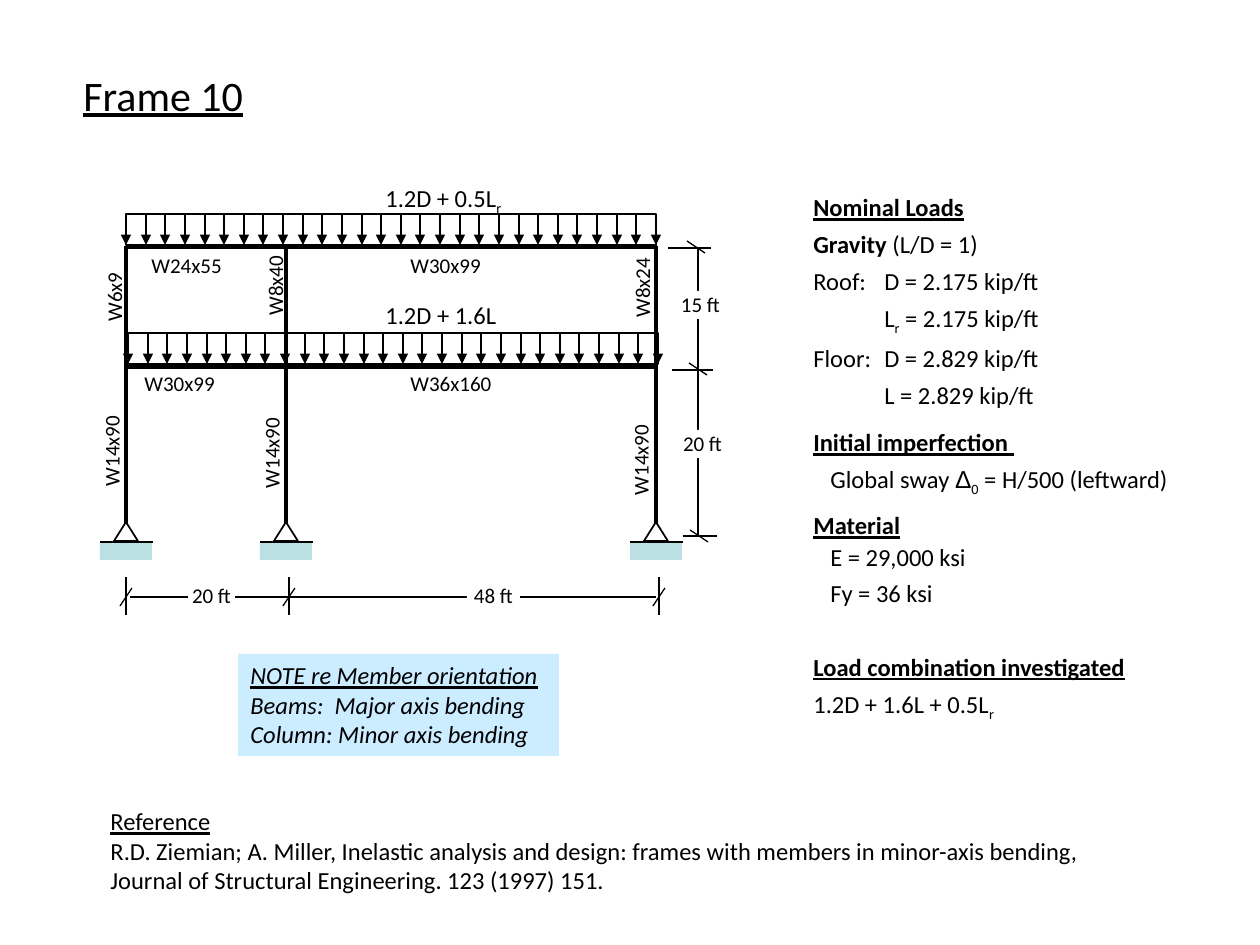
from dataclasses import dataclass, replace
from typing import Any, Optional

import lxml.etree
import pptx
import pptx.dml.color
import pptx.enum.shapes
import pptx.enum.text
import pptx.oxml.ns
import pptx.util

EMU_PER_PIXEL = 914400 // 126
SHAPE = pptx.enum.shapes.MSO_SHAPE
BLACK, WHITE, GROUND, NOTE_BLUE = "000000", "FFFFFF", "BBE0E3", "CCECFF"


@dataclass(frozen=True)
class Span:
    text: str
    bold: Optional[bool] = None
    font: Optional[str] = None
    subscript: bool = False


@dataclass(frozen=True)
class Para:
    spans: tuple[Span, ...]
    size: int = 14
    bold: bool = False
    italic: bool = False
    underline: bool = False
    spacing: Optional[float] = None
    before: float = 0
    after: float = 0
    indent: int = 0
    tab: int = 0
    centred: bool = False


@dataclass(frozen=True)
class Label:
    text: str
    left: int
    top: int
    width: int
    rotation: int = 0


@dataclass(frozen=True)
class Line:
    x1: int
    y1: int
    x2: int
    y2: int
    weight: float = 0.75
    arrow: bool = False


def px(value: float) -> int:
    """Turn pixels into EMU."""
    return round(value * EMU_PER_PIXEL)


def colour(value: str) -> pptx.dml.color.RGBColor:
    """Turn a hex string into a colour."""
    return pptx.dml.color.RGBColor.from_string(value)


def plain(text: str, **options: Any) -> Para:
    """Make a paragraph of one span."""
    return Para((Span(text),), **options)


def draw_line(shapes: Any, line: Line) -> None:
    """Draw a straight line, with an arrowhead at its end if asked."""
    connector = shapes.add_connector(
        pptx.enum.shapes.MSO_CONNECTOR.STRAIGHT,
        px(line.x1), px(line.y1), px(line.x2), px(line.y2))
    connector.line.color.rgb = colour(BLACK)
    connector.line.width = pptx.util.Pt(line.weight)
    if line.arrow:
        lxml.etree.SubElement(connector.line._get_or_add_ln(),
                              pptx.oxml.ns.qn("a:tailEnd"), type="triangle")
    lxml.etree.SubElement(connector._element.spPr, pptx.oxml.ns.qn("a:effectLst"))


def draw_shape(shapes: Any, kind: Any, left: int, top: int, width: int, height: int,
               fill: Optional[str] = None, weight: float = 0) -> Any:
    """Draw a preset shape with an optional fill and outline."""
    shape = shapes.add_shape(kind, px(left), px(top), px(width), px(height))
    shape.shadow.inherit = False
    if fill:
        shape.fill.solid()
        shape.fill.fore_color.rgb = colour(fill)
    else:
        shape.fill.background()
    if weight:
        shape.line.color.rgb = colour(BLACK)
        shape.line.width = pptx.util.Pt(weight)
    else:
        shape.line.fill.background()
    return shape


def write_para(paragraph: Any, para: Para) -> None:
    """Format one paragraph and add its spans."""
    align = pptx.enum.text.PP_ALIGN
    paragraph.alignment = align.CENTER if para.centred else align.LEFT
    paragraph.space_before = pptx.util.Pt(para.before)
    paragraph.space_after = pptx.util.Pt(para.after)
    if para.spacing:
        paragraph.line_spacing = para.spacing
    properties = paragraph._p.get_or_add_pPr()
    if para.indent:
        properties.set("marL", str(px(para.indent)))
    if para.tab:
        tabs = lxml.etree.SubElement(properties, pptx.oxml.ns.qn("a:tabLst"))
        lxml.etree.SubElement(tabs, pptx.oxml.ns.qn("a:tab"),
                              pos=str(px(para.tab)), algn="l")
    font = paragraph.font
    font.name, font.size = "Calibri", pptx.util.Pt(para.size)
    font.bold, font.italic, font.underline = para.bold, para.italic, para.underline
    font.color.rgb = colour(BLACK)
    for span in para.spans:
        run = paragraph.add_run()
        run.text = span.text
        if span.bold is not None:
            run.font.bold = span.bold
        if span.font:
            run.font.name = span.font
        if span.subscript:
            run._r.get_or_add_rPr().set("baseline", "-25000")


def write_text(box: Any, paras: list[Para], wrap: bool = True,
               margin: Optional[int] = None) -> None:
    """Fill a box with paragraphs."""
    frame = box.text_frame
    frame.word_wrap = wrap
    frame.vertical_anchor = pptx.enum.text.MSO_ANCHOR.TOP
    if margin is not None:
        frame.margin_left = frame.margin_right = px(margin)
        frame.margin_top = frame.margin_bottom = px(margin)
    for index, para in enumerate(paras):
        write_para(frame.add_paragraph() if index else frame.paragraphs[0], para)


def draw_text(page: Any, left: int, top: int, width: int, height: int,
              paras: list[Para], wrap: bool = True) -> Any:
    """Add a text box."""
    box = page.shapes.add_textbox(px(left), px(top), px(width), px(height))
    write_text(box, paras, wrap)
    return box


def draw_support(page: Any, x: int) -> None:
    """Draw a pinned support centred below a column."""
    shapes = page.shapes.add_group_shape().shapes
    draw_shape(shapes, SHAPE.RECTANGLE, x - 26, 542, 52, 18, GROUND)
    draw_shape(shapes, SHAPE.ISOSCELES_TRIANGLE, x - 12, 522, 24, 19, weight=1)
    draw_line(shapes, Line(x - 26, 542, x + 27, 542, 1))


def draw_load(page: Any, left: int, top: int, count: int = 28) -> None:
    """Draw a uniform load as a row of equally spaced arrows."""
    width, height = 530, 31
    shapes = page.shapes.add_group_shape().shapes
    draw_shape(shapes, SHAPE.RECTANGLE, left, top, width, height, weight=0.75)
    for index in range(count):
        x = left + round(index * width / (count - 1))
        draw_line(shapes, Line(x, top, x, top + height, arrow=True))


COLUMNS = (126, 286, 656)
MEMBERS = [Line(x, 523, x, 246, 2) for x in COLUMNS]
MEMBERS += [Line(126, y, 657, y, 2) for y in (247, 367)]
SPAN_DIMENSION = [Line(x, 577, x, 615) for x in (126, 289, 659)]
SPAN_DIMENSION += [Line(x + 6, 588, x - 6, 606) for x in (126, 289, 659)]
SPAN_DIMENSION += [Line(130, 597, 656, 597)]
HEIGHT_DIMENSION = [Line(668, 248, 711, 248), Line(672, 370, 713, 370),
                    Line(683, 536, 717, 536), Line(698, 247, 698, 537)]
HEIGHT_DIMENSION += [Line(x + 9, y + 6, x - 9, y - 6)
                     for x, y in ((696, 247), (698, 369), (699, 536))]
DIMENSION_LABELS = [Label("20 ft", 188, 582, 47), Label("48 ft", 467, 582, 53),
                    Label("20 ft", 679, 430, 47), Label("15 ft", 677, 291, 47)]
MEMBER_LABELS = [
    Label("W14x90", 63, 431, 97, 270), Label("W14x90", 223, 433, 97, 270),
    Label("W14x90", 592, 440, 97, 270), Label("W6x9", 76, 277, 76, 270),
    Label("W8x40", 232, 266, 86, 270), Label("W8x24", 599, 268, 86, 270),
    Label("W24x55", 139, 246, 97), Label("W30x99", 398, 246, 97),
    Label("W30x99", 132, 364, 97), Label("W36x160", 398, 364, 107)]
SUB_R = Span("r", subscript=True)
HEADING = plain("Nominal Loads", bold=True, underline=True, spacing=1.07, after=3)
BODY = replace(HEADING, bold=False, underline=False, tab=71)
INDENTED = replace(BODY, tab=0, indent=17)
DATA = [
    HEADING,
    replace(BODY, spans=(Span("Gravity ", bold=True), Span("(L/D = 1)"))),
    replace(BODY, spans=(Span("Roof:\tD = 2.175 kip/ft"),)),
    replace(BODY, spans=(Span("\tL"), SUB_R, Span(" = 2.175 kip/ft"))),
    replace(BODY, spans=(Span("Floor:\tD = 2.829 kip/ft"),)),
    replace(BODY, spans=(Span("\tL = 2.829 kip/ft"),)),
    replace(HEADING, spans=(Span("Initial imperfection "),), before=6),
    replace(INDENTED, after=6, spans=(
        Span("Global sway "), Span("Δ", font="Arial"), Span("0", subscript=True),
        Span(" = H/500 (leftward)"))),
    replace(HEADING, spans=(Span("Material"),), after=0),
    replace(INDENTED, spans=(Span("E = 29,000 ksi"),)),
    replace(INDENTED, spans=(Span("Fy = 36 ksi"),)),
    replace(HEADING, spans=(Span("Load combination investigated"),), before=21),
    replace(BODY, spans=(Span("1.2D + 1.6L + 0.5L"), SUB_R), after=0)]
NOTE = [plain("NOTE re Member orientation", italic=True, underline=True),
        plain("Beams:  Major axis bending", italic=True),
        plain("Column: Minor axis bending", italic=True)]
REFERENCE = [
    plain("Reference", underline=True),
    plain("R.D. Ziemian; A. Miller, Inelastic analysis and design: frames with members "
          "in minor-axis bending, Journal of Structural Engineering. 123 (1997) 151.")]

deck = pptx.Presentation()
deck.slide_width, deck.slide_height = px(1260), px(945)
page = deck.slides.add_slide(deck.slide_layouts[6])

draw_text(page, 71, 63, 198, 63, [plain("Frame 10", size=24, underline=True)])
for column in COLUMNS:
    draw_support(page, column)
for line in MEMBERS + SPAN_DIMENSION + HEIGHT_DIMENSION:
    draw_line(page.shapes, line)
draw_load(page, 126, 214)
draw_load(page, 128, 333)
for label in DIMENSION_LABELS:
    plate = draw_shape(page.shapes, SHAPE.RECTANGLE, label.left, label.top,
                       label.width, 28, WHITE)
    write_text(plate, [plain(label.text, size=12, centred=True)], margin=1)
for label in MEMBER_LABELS:
    box = draw_text(page, label.left, label.top, label.width, 38,
                    [plain(label.text, size=12)], wrap=False)
    box.rotation = label.rotation
draw_text(page, 373, 174, 150, 44,
          [Para((Span("1.2D + 0.5L"), SUB_R), spacing=1.07)])
draw_text(page, 373, 292, 158, 44, [plain("1.2D + 1.6L", spacing=1.07)])
note = draw_shape(page.shapes, SHAPE.RECTANGLE, 238, 654, 321, 102, NOTE_BLUE)
write_text(note, NOTE)
draw_text(page, 801, 184, 392, 558, DATA)
draw_text(page, 98, 800, 1071, 102, REFERENCE)
deck.save("out.pptx")
